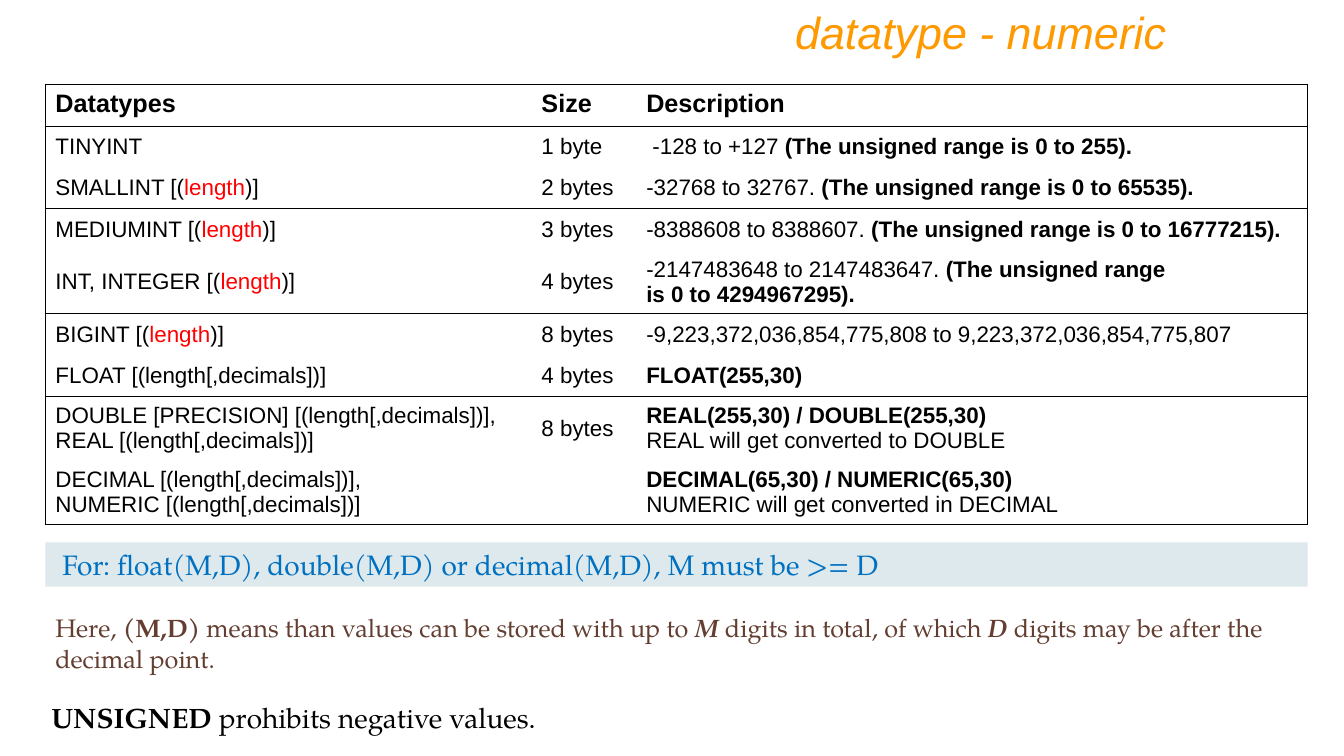
from lxml import etree
from pptx import Presentation, util as u
from pptx.dml.color import RGBColor
from pptx.enum import shapes, text
from pptx.oxml import ns

COLORS = {"title": "FF9900", "ink": "000000", "paper": "FFFFFF", "length": "FF0000",
          "bar": "DDE9EC", "rule": "0070C0", "note": "633E31"}
SANS, SERIF = "Arial", "TeX Gyre Pagella"
LEFT, WIDTH = 3.38, 93.92
COLUMNS = (36.16, 7.8, 49.96)
ROW = 5.47


def color(name):
    return RGBColor.from_string(COLORS[name])


def tie(words):
    """Join words with no-break spaces."""
    return words.replace(" ", chr(160))


def sized(name):
    return [name + " [(", ("length", "length"), ")]"]


def ranged(limits, top):
    return [limits + " ", ("(The unsigned range " + tie(f"is 0 to {top})."), "b")]


# A cell is a list of paragraphs; a paragraph is a list of runs.
ROWS = [
    ([[("Datatypes", "b")]], [[("Size", "b")]], [[("Description", "b")]]),
    ([["TINYINT"]], [["1 byte"]], [ranged(tie(" ") + "-128 to +127", 255)]),
    ([sized("SMALLINT")], [["2 bytes"]], [ranged(tie("-32768 to 32767."), 65535)]),
    ([sized("MEDIUMINT")], [["3 bytes"]], [ranged(tie("-8388608 to 8388607."), 16777215)]),
    ([sized("INT, INTEGER")], [["4 bytes"]],
     [ranged(tie("-2147483648 to 2147483647."), 4294967295)]),
    ([sized("BIGINT")], [["8 bytes"]],
     [["-9,223,372,036,854,775,808 to 9,223,372,036,854,775,807"]]),
    ([["FLOAT [(length[,decimals])]"]], [["4 bytes"]], [[("FLOAT(255,30)", "b")]]),
    ([["DOUBLE [PRECISION] [(length[,decimals])],"], ["REAL [(length[,decimals])]"]],
     [["8 bytes"]],
     [[("REAL(255,30) / DOUBLE(255,30)", "b")], ["REAL will get converted to DOUBLE"]]),
    ([["DECIMAL [(length[,decimals])],"], ["NUMERIC [(length[,decimals])]"]],
     [],
     [[("DECIMAL(65,30) / NUMERIC(65,30)", "b")], ["NUMERIC will get converted in DECIMAL"]]),
]


class Sheet:
    """Draws on one slide; lengths are percentages of its width and height."""

    def __init__(self, presentation):
        self.across = presentation.slide_width / 100
        self.down = presentation.slide_height / 100
        self.slide = presentation.slides.add_slide(presentation.slide_layouts[6])

    def box(self, left, top, width, height):
        return (round(left * self.across), round(top * self.down),
                round(width * self.across), round(height * self.down))

    def fill_frame(self, frame, paragraphs, font, size, ink, align=text.PP_ALIGN.LEFT):
        """Add runs; each is a string or (string, "b", "bi", "i" or a colour name)."""
        frame.word_wrap = True
        for index, runs in enumerate(paragraphs):
            paragraph = frame.add_paragraph() if index else frame.paragraphs[0]
            paragraph.alignment = align
            for item in runs:
                words, style = (item, "") if isinstance(item, str) else item
                run = paragraph.add_run()
                run.text = words
                run.font.name, run.font.size = font, u.Pt(size)
                run.font.bold = style in ("b", "bi")
                run.font.italic = style in ("i", "bi")
                run.font.color.rgb = color(style if style in COLORS else ink)

    def text(self, place, runs, font, size, ink, align=text.PP_ALIGN.LEFT):
        shape = self.slide.shapes.add_textbox(*self.box(*place))
        self.fill_frame(shape.text_frame, [runs], font, size, ink, align)

    def bar(self, place, runs, font, size, ink):
        shape = self.slide.shapes.add_shape(shapes.MSO_SHAPE.RECTANGLE, *self.box(*place))
        shape.shadow.inherit = False
        shape.fill.solid()
        shape.fill.fore_color.rgb = color("bar")
        shape.line.fill.background()
        shape.text_frame.vertical_anchor = text.MSO_ANCHOR.TOP
        self.fill_frame(shape.text_frame, [runs], font, size, ink)

    def border(self, cell, sides):
        """Draw the named sides (of L, R, T, B) and clear the others."""
        properties = cell._tc.get_or_add_tcPr()
        for side in "LRTB":
            line = etree.SubElement(properties, ns.qn("a:ln" + side), w=str(u.Pt(0.75)))
            if side in sides:
                fill = etree.SubElement(line, ns.qn("a:solidFill"))
                etree.SubElement(fill, ns.qn("a:srgbClr"), val=COLORS["ink"])
            else:
                etree.SubElement(line, ns.qn("a:noFill"))

    def table(self, left, top, rows):
        place = self.box(left, top, sum(COLUMNS), ROW * len(rows))
        table = self.slide.shapes.add_table(len(rows), len(COLUMNS), *place).table
        table.first_row = table.horz_banding = False
        for column, width in zip(table.columns, COLUMNS):
            column.width = round(width * self.across)
        last_row, last_column = len(rows) - 1, len(COLUMNS) - 1
        for r, row in enumerate(rows):
            table.rows[r].height = round(ROW * self.down)
            for c, paragraphs in enumerate(row):
                cell = table.cell(r, c)
                # Under the header, a line closes every pair of rows.
                edges = {"L": c == 0, "R": c == last_column,
                         "T": r == 0 or r % 2 == 1, "B": r % 2 == 0 or r == last_row}
                self.border(cell, [side for side, drawn in edges.items() if drawn])
                cell.fill.solid()
                cell.fill.fore_color.rgb = color("paper")
                cell.vertical_anchor = text.MSO_ANCHOR.MIDDLE if r else text.MSO_ANCHOR.TOP
                self.fill_frame(cell.text_frame, paragraphs, SANS, 16 if r else 18, "ink")


def main():
    presentation = Presentation()
    presentation.slide_width, presentation.slide_height = u.Inches(13.33), u.Inches(7.5)
    sheet = Sheet(presentation)
    sheet.text((12.53, 0, 75.02, 8.53), [("datatype - numeric", "i")], SANS, 32, "title",
               text.PP_ALIGN.RIGHT)
    sheet.table(LEFT, 11.2, ROWS)
    sheet.bar((LEFT, 71.73, WIDTH, 5.87),
              [" For: float(M,D), double(M,D) or decimal(M,D), M must be >= D"], SERIF, 20, "rule")
    sheet.text((3.08, 92, 46.06, 5.87),
               [("UNSIGNED", "b"), " prohibits negative values."], SERIF, 20, "ink")
    sheet.text((LEFT, 80.4, WIDTH, 9.47),
               ["Here, ", ("(M,D)", "b"), " means than values can be stored with up to ",
                ("M", "bi"), " digits in total, of which ", ("D", "bi"),
                " digits may be after the decimal point."], SERIF, 18, "note")
    presentation.save("out.pptx")


if __name__ == "__main__":
    main()
